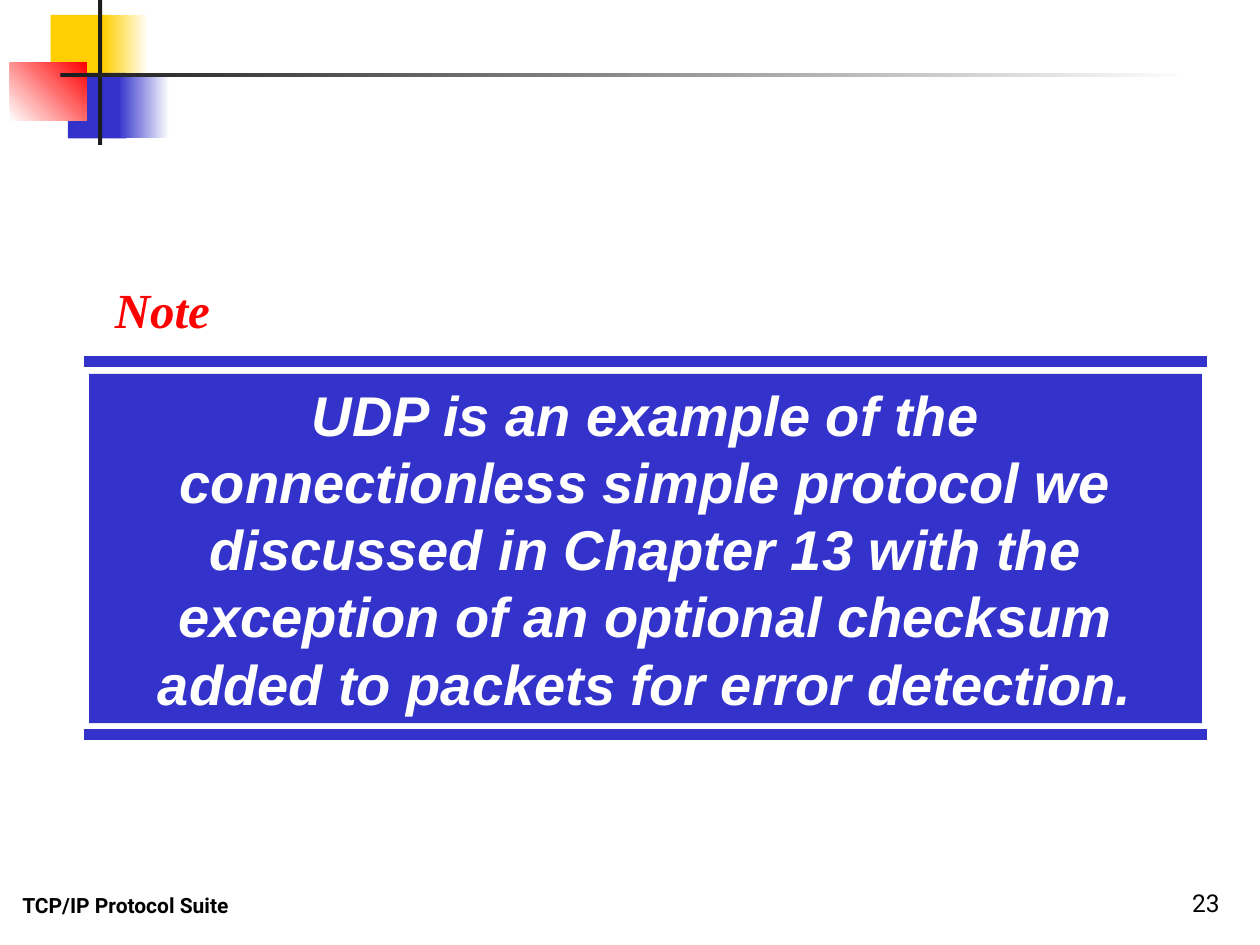
from dataclasses import dataclass
from typing import NamedTuple, Optional

from lxml.etree import SubElement
from pptx import Presentation
from pptx.dml.color import RGBColor
from pptx.enum.shapes import MSO_CONNECTOR, MSO_SHAPE
from pptx.enum.text import MSO_ANCHOR, MSO_AUTO_SIZE, PP_ALIGN
from pptx.oxml.ns import qn
from pptx.util import Cm, Pt


@dataclass(frozen=True)
class Theme:
    white: str = "FFFFFF"
    black: str = "000000"
    ink: str = "1C1C1C"
    yellow: str = "FFCF01"
    blue: str = "3333CC"
    red: str = "FF0000"
    statement_size: int = 32
    note_size: int = 28
    number_size: int = 14
    footer_size: int = 12
    rule_width: int = 6


THEME = Theme()


class Area(NamedTuple):
    left: float
    top: float
    width: float
    height: float


@dataclass(frozen=True)
class Block:
    """A rectangle, fading from color to fade_to when that is given."""
    area: Area
    color: str
    fade_to: Optional[str] = None
    angle: float = 0


@dataclass(frozen=True)
class Label:
    text: str
    font: str
    size: int
    color: str
    bold: bool = False
    italic: bool = False
    align: PP_ALIGN = PP_ALIGN.LEFT
    anchor: MSO_ANCHOR = MSO_ANCHOR.TOP
    wrap: bool = True
    auto_size: MSO_AUTO_SIZE = MSO_AUTO_SIZE.NONE


ORNAMENT = [
    Block(Area(1.02, 0.3, 1.22, 1.32), THEME.yellow),
    Block(Area(2.08, 0.3, 0.91, 1.32), THEME.yellow, THEME.white),
    Block(Area(1.37, 1.47, 1.17, 1.32), THEME.blue),
    Block(Area(2.39, 1.47, 1.02, 1.32), THEME.blue, THEME.white),
    Block(Area(0.2, 1.27, 1.55, 1.17), THEME.white, THEME.red, 45),
    Block(Area(1.98, 0, 0.08, 2.92), THEME.ink),
    Block(Area(1.22, 1.47, 22.86, 0.08), THEME.ink, THEME.white),
]

FOOTERS = [
    (Area(0.2, 17.35, 8.05, 1.27),
     Label("TCP/IP Protocol Suite", "Roboto", THEME.footer_size, THEME.black,
           bold=True, anchor=MSO_ANCHOR.BOTTOM)),
    (Area(19.56, 17.35, 5.28, 1.27),
     Label("23", "Roboto", THEME.number_size, THEME.black,
           align=PP_ALIGN.RIGHT, anchor=MSO_ANCHOR.BOTTOM)),
]

NOTE_AREA = Area(2.06, 5.51, 2.44, 1.45)
NOTE = Label("Note", "Times New Roman", THEME.note_size, THEME.red, bold=True,
             italic=True, wrap=False, auto_size=MSO_AUTO_SIZE.SHAPE_TO_FIT_TEXT)

STATEMENT_BLOCK = Block(Area(1.8, 7.54, 22.43, 7.04), THEME.blue)
STATEMENT = Label(
    "UDP is an example of the connectionless simple protocol we discussed in "
    "Chapter 13 with the exception of an optional checksum added to packets "
    "for error detection.",
    "Arial", THEME.statement_size, THEME.white, bold=True, italic=True,
    align=PP_ALIGN.CENTER, auto_size=MSO_AUTO_SIZE.SHAPE_TO_FIT_TEXT)

RULE_LEFT, RULE_RIGHT = 1.7, 24.33
RULE_TOPS = (7.29, 14.81)


def lengths(area: Area) -> list:
    return [Cm(value) for value in area]


def set_all(target, values: dict) -> None:
    for name, value in values.items():
        setattr(target, name, value)


def write(box, label: Label) -> None:
    frame = box.text_frame
    set_all(frame, {"word_wrap": label.wrap, "auto_size": label.auto_size,
                    "vertical_anchor": label.anchor})
    paragraph = frame.paragraphs[0]
    paragraph.alignment = label.align
    span = paragraph.add_run()
    span.text = label.text
    set_all(span.font, {"name": label.font, "size": Pt(label.size),
                        "bold": label.bold, "italic": label.italic})
    span.font.color.rgb = RGBColor.from_string(label.color)


def draw_block(page, block: Block):
    box = page.shapes.add_shape(MSO_SHAPE.RECTANGLE, *lengths(block.area))
    box.shadow.inherit = False
    box.line.fill.background()
    if block.fade_to is None:
        box.fill.solid()
        box.fill.fore_color.rgb = RGBColor.from_string(block.color)
    else:
        box.fill.gradient()
        box.fill.gradient_angle = block.angle
        stops = zip(box.fill.gradient_stops, (block.color, block.fade_to), (0, 1))
        for stop, color, position in stops:
            stop.color.rgb = RGBColor.from_string(color)
            stop.position = position
    return box


def draw_rule(page, top: float) -> None:
    rule = page.shapes.add_connector(
        MSO_CONNECTOR.STRAIGHT, Cm(RULE_LEFT), Cm(top), Cm(RULE_RIGHT), Cm(top))
    rule.line.width = Pt(THEME.rule_width)
    rule.line.color.rgb = RGBColor.from_string(THEME.blue)
    SubElement(rule._element.spPr, qn("a:effectLst"))


def main() -> None:
    deck = Presentation()
    deck.slide_width, deck.slide_height = Cm(25.4), Cm(19.05)
    page = deck.slides.add_slide(deck.slide_layouts[5])

    # Heading
    title = page.shapes.title
    set_all(title, dict(zip(Area._fields, lengths(NOTE_AREA))))
    write(title, NOTE)

    # Footer and page number
    for area, label in FOOTERS:
        write(page.shapes.add_textbox(*lengths(area)), label)

    # Corner ornament
    for block in ORNAMENT:
        draw_block(page, block)

    # Statement between two rules
    for top in RULE_TOPS:
        draw_rule(page, top)
    write(draw_block(page, STATEMENT_BLOCK), STATEMENT)

    deck.save("out.pptx")


if __name__ == "__main__":
    main()
